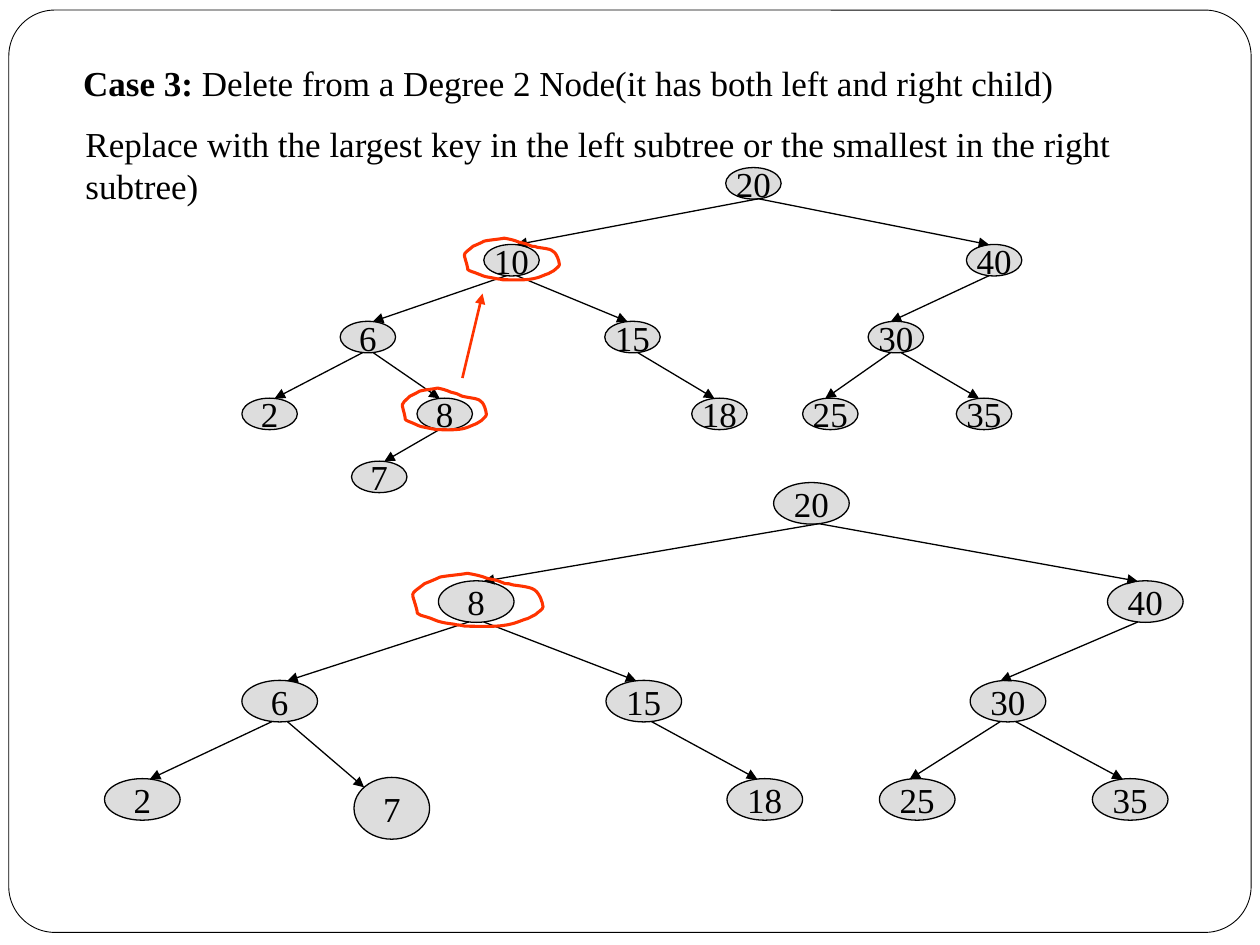
"""Build a slide on deleting a degree 2 node from a binary search tree."""
from dataclasses import dataclass
from math import sqrt

from lxml.etree import SubElement
from pptx import Presentation
from pptx.dml.color import RGBColor
from pptx.enum.shapes import MSO_CONNECTOR, MSO_SHAPE
from pptx.enum.text import MSO_ANCHOR, MSO_AUTO_SIZE, PP_ALIGN
from pptx.oxml.ns import qn
from pptx.util import Emu, Pt

EMU_PER_PX = 9144
FONT = "Times New Roman"
BLACK, GREY, RED = "000000", "DDDDDD", "FF3300"

RING_WIDTH, RING_HEIGHT = 107, 41
RING_START = (47, 0)
RING_CURVES = [
    ((42, 1), (29, 2), (25, 3)),
    ((21, 5), (13, 8), (13, 8)),
    ((0, 18), (3, 13), (7, 29)),
    ((7, 30), (7, 32), (9, 32)),
    ((10, 33), (13, 33), (15, 34)),
    ((19, 35), (22, 37), (27, 38)),
    ((31, 39), (35, 39), (39, 40)),
    ((41, 40), (45, 41), (45, 41)),
    ((58, 41), (72, 42), (83, 39)),
    ((87, 38), (91, 36), (95, 35)),
    ((97, 34), (101, 32), (101, 32)),
    ((103, 30), (107, 28), (107, 26)),
    ((107, 24), (106, 22), (105, 19)),
    ((101, 11), (98, 11), (83, 9)),
    ((81, 8), (79, 8), (77, 8)),
    ((69, 5), (73, 6), (63, 4)),
    ((58, 2), (53, 1), (47, 0)),
]


@dataclass(frozen=True)
class Box:
    """A rectangle in px."""
    left: int
    top: int
    width: int
    height: int

    def emu(self) -> list[Emu]:
        """Return the rectangle's four measures in EMU."""
        return [px(n) for n in (self.left, self.top, self.width, self.height)]

    def rim(self, shift: int, side: int) -> tuple[float, float]:
        """Return the point of the inscribed ellipse above (-1) or below (1) its centre."""
        rise = self.height / 2 * sqrt(1 - (2 * shift / self.width) ** 2)
        return (self.left + self.width / 2 + shift,
                self.top + self.height / 2 + side * rise)


@dataclass(frozen=True)
class Node:
    """A key, its place, and the arrow that reaches it from its parent."""
    key: str
    box: Box
    parent: str = ""
    leave: int = 0
    reach: int = 0


def px(length: float) -> Emu:
    """Turn px into EMU."""
    return Emu(round(length * EMU_PER_PX))


def colour(code: str) -> RGBColor:
    """Turn a hex string into a colour."""
    return RGBColor.from_string(code)


def style_line(line, code: str, width: float) -> None:
    """Set the colour and point width of a line."""
    line.color.rgb = colour(code)
    line.width = Pt(width)


def style_font(paragraph) -> None:
    """Set the common font of a paragraph."""
    paragraph.font.name = FONT
    paragraph.font.size = Pt(20)
    paragraph.font.color.rgb = colour(BLACK)


def draw_arrow(shapes, start: tuple, end: tuple, code: str = BLACK, width: float = 0.75) -> None:
    """Draw a straight arrow pointing at its end."""
    arrow = shapes.add_connector(MSO_CONNECTOR.STRAIGHT, *map(px, start + end))
    style_line(arrow.line, code, width)
    SubElement(arrow.line._get_or_add_ln(), qn("a:tailEnd"), type="triangle")
    SubElement(arrow._element.spPr, qn("a:effectLst"))


def draw_node(shapes, node: Node) -> None:
    """Draw one key in its oval."""
    oval = shapes.add_shape(MSO_SHAPE.OVAL, *node.box.emu())
    oval.shadow.inherit = False
    oval.fill.solid()
    oval.fill.fore_color.rgb = colour(GREY)
    style_line(oval.line, BLACK, 0.75)
    frame = oval.text_frame
    frame.word_wrap = False
    frame.vertical_anchor = MSO_ANCHOR.MIDDLE
    frame.text = node.key
    frame.paragraphs[0].alignment = PP_ALIGN.CENTER
    style_font(frame.paragraphs[0])


def draw_tree(shapes, nodes: list[Node]) -> None:
    """Draw all keys, then the arrows from parents to children."""
    places = {node.key: node.box for node in nodes}
    for node in nodes:
        draw_node(shapes, node)
    for node in nodes:
        if node.parent:
            draw_arrow(shapes, places[node.parent].rim(node.leave, 1),
                       node.box.rim(node.reach, -1))


def draw_ring(shapes, box: Box) -> None:
    """Draw the red ring of Bézier curves fitted to a box."""
    corners = [RING_START] + [corner for curve in RING_CURVES for corner in curve]
    outline = [(px(box.left + x * box.width / RING_WIDTH),
                px(box.top + y * box.height / RING_HEIGHT)) for x, y in corners]
    builder = shapes.build_freeform(*outline[0])
    builder.add_line_segments(outline[1:], close=True)
    ring = builder.convert_to_shape()
    ring.shadow.inherit = False
    ring.fill.background()
    style_line(ring.line, RED, 1.75)
    segments = list(ring._element.iter(qn("a:lnTo")))
    for first, second, end in zip(segments[::3], segments[1::3], segments[2::3]):
        curve = SubElement(first.getparent(), qn("a:cubicBezTo"))
        first.addprevious(curve)
        for segment in (first, second, end):
            curve.append(segment[0])
            segment.getparent().remove(segment)


def draw_border(slide, master) -> None:
    """Draw the rounded border and hand it to the slide master."""
    border = slide.shapes.add_shape(MSO_SHAPE.ROUNDED_RECTANGLE, *Box(7, 8, 986, 732).emu())
    border.adjustments[0] = 0.05
    border.shadow.inherit = False
    border.fill.background()
    style_line(border.line, BLACK, 0.5)
    border._element.nvSpPr.cNvPr.set("id", "20")
    master.shapes._spTree.insert(2, border._element)


def tree_before() -> list[Node]:
    """List the nodes before the deletion."""
    def node(key, left, top, *link):
        return Node(key, Box(left, top, 44, 25), *link)
    return [
        node("20", 576, 133),
        node("40", 767, 194, "20", 4, -4), node("10", 384, 194, "20", 4, 4),
        node("6", 270, 255, "10", -4, 4), node("15", 480, 255, "10", 4, -4),
        node("30", 689, 255, "40", -4, -4),
        node("2", 192, 316, "6", -4, 4), node("8", 331, 316, "6", 4, -4),
        node("18", 549, 316, "15", 4, -4),
        node("25", 637, 316, "30", -4, -4), node("35", 759, 316, "30", 4, -4),
        node("7", 279, 366, "8", -4, 4),
    ]


def tree_after() -> list[Node]:
    """List the nodes after the deletion."""
    def node(key, left, top, *link, height=33):
        return Node(key, Box(left, top, 60, height), *link)
    return [
        node("20", 614, 383),
        node("40", 879, 461, "20", 6, -6), node("8", 348, 461, "20", 6, 6),
        node("6", 192, 540, "8", -6, 6), node("15", 481, 540, "8", 6, -6),
        node("30", 770, 540, "40", -6, -6),
        node("2", 83, 618, "6", -6, 6), node("7", 281, 617, "6", 6, -22, height=49),
        node("18", 577, 618, "15", 6, -6),
        node("25", 698, 618, "30", -6, -6), node("35", 867, 618, "30", 6, -6),
    ]


def main() -> None:
    """Build and save the slide."""
    deck = Presentation()
    deck.slide_width, deck.slide_height = px(1000), px(750)
    slide = deck.slides.add_slide(deck.slide_layouts[5])
    shapes = slide.shapes
    draw_border(slide, deck.slide_master)

    before = shapes.add_group_shape().shapes
    draw_tree(before, tree_before())
    draw_ring(before, Box(366, 189, 78, 33))
    draw_ring(shapes, Box(317, 308, 69, 33))

    title = shapes.title
    title.left, title.top, title.width, title.height = Box(56, 42, 903, 50).emu()
    heading = title.text_frame
    heading.auto_size = MSO_AUTO_SIZE.NONE
    heading.vertical_anchor = MSO_ANCHOR.BOTTOM
    heading.margin_bottom = px(10)
    case = heading.paragraphs[0]
    case.alignment = PP_ALIGN.LEFT
    style_font(case)
    for words, bold in (
            ("Case 3: ", True),
            ("Delete from a Degree 2 Node(it has both left and right child)", False)):
        run = case.add_run()
        run.text, run.font.bold = words, bold

    draw_arrow(shapes, (367, 300), (383, 233), RED, 1.5)
    after = shapes.add_group_shape().shapes
    draw_tree(after, tree_after())
    draw_ring(after, Box(324, 455, 107, 42))

    rule = shapes.add_textbox(*Box(58, 92, 842, 77).emu()).text_frame
    rule.word_wrap = True
    rule.auto_size = MSO_AUTO_SIZE.SHAPE_TO_FIT_TEXT
    rule.text = ("Replace with the largest key in the left subtree "
                 "or the smallest in the right subtree)")
    style_font(rule.paragraphs[0])
    deck.save("out.pptx")


if __name__ == "__main__":
    main()
